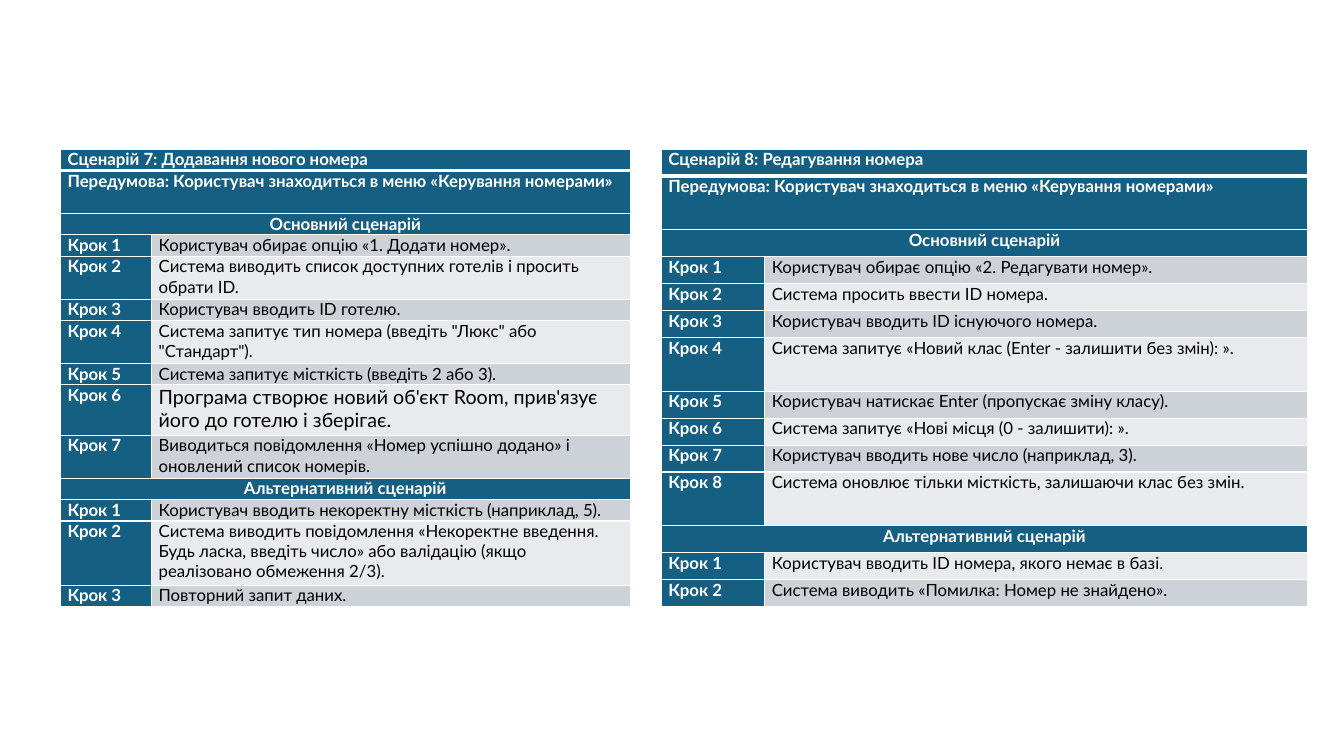
from lxml import etree
from pptx import Presentation
from pptx.dml.color import RGBColor
from pptx.enum.text import PP_ALIGN
from pptx.oxml.ns import qn
from pptx.util import Inches, Pt

LEFT, CENTER = PP_ALIGN.LEFT, PP_ALIGN.CENTER
TEAL = RGBColor(0x15, 0x60, 0x82)
DARK_BAND = RGBColor(0xCC, 0xD2, 0xD8)
LIGHT_BAND = RGBColor(0xE8, 0xEA, 0xED)
WHITE = RGBColor(0xFF, 0xFF, 0xFF)
BLACK = RGBColor(0, 0, 0)

TABLE_TOP, TABLE_HEIGHT = 1.48, 4.54
LABEL_SHARE = 0.16
MARGINS = {"margin_left": Inches(0.07), "margin_right": Inches(0.07),
           "margin_top": 0, "margin_bottom": 0}
HEADING = {"name": "Lato", "size": Pt(12), "bold": True}
BODY = {"name": "Lato", "size": Pt(12), "bold": False}
LARGE_BODY = {**BODY, "size": Pt(14)}

PRECONDITION = "Передумова: Користувач знаходиться в меню «Керування номерами»"
MAIN, ALTERNATIVE = "Основний сценарій", "Альтернативний сценарій"

# Each step is its text and its height in line units.
ADD_ROOM_STEPS = [
    ("Користувач обирає опцію «1. Додати номер».", 1),
    ("Система виводить список доступних готелів і просить обрати ID.", 2),
    ("Користувач вводить ID готелю.", 1),
    ('Система запитує тип номера (введіть "Люкс" або "Стандарт").', 2),
    ("Система запитує місткість (введіть 2 або 3).", 1),
    ("Програма створює новий об'єкт Room, прив'язує його до готелю і зберігає.",
     2.35, LARGE_BODY),
    ("Виводиться повідомлення «Номер успішно додано» і оновлений список номерів.", 2),
]
ADD_ROOM_ERRORS = [
    ("Користувач вводить некоректну місткість (наприклад, 5).", 1),
    ("Система виводить повідомлення «Некоректне введення. Будь ласка, введіть "
     "число» або валідацію (якщо реалізовано обмеження 2/3).", 3),
    ("Повторний запит даних.", 1),
]
EDIT_ROOM_STEPS = [
    ("Користувач обирає опцію «2. Редагувати номер».", 1),
    ("Система просить ввести ID номера.", 1),
    ("Користувач вводить ID існуючого номера.", 1),
    ("Система запитує «Новий клас (Enter - залишити без змін): ».", 2),
    ("Користувач натискає Enter (пропускає зміну класу).", 1),
    ("Система запитує «Нові місця (0 - залишити): ».", 1),
    ("Користувач вводить нове число (наприклад, 3).", 1),
    ("Система оновлює тільки місткість, залишаючи клас без змін.", 2),
]
EDIT_ROOM_ERRORS = [
    ("Користувач вводить ID номера, якого немає в базі.", 1),
    ("Система виводить «Помилка: Номер не знайдено».", 1),
]


def set_borders(cell, top=1, bottom=1):
    properties = cell._tc.get_or_add_tcPr()
    for side, width in (("L", 1), ("R", 1), ("T", top), ("B", bottom)):
        line = etree.SubElement(properties, qn(f"a:ln{side}"), w=str(Pt(width)))
        fill = etree.SubElement(line, qn("a:solidFill"))
        etree.SubElement(fill, qn("a:srgbClr"), val=str(WHITE))


def write_cell(cell, text, font, color, align=LEFT):
    para = cell.text_frame.paragraphs[0]
    para.alignment = align
    span = para.add_run()
    span.text = text
    for name, value in font.items():
        setattr(span.font, name, value)
    span.font.color.rgb = color


def style_row(cells, row):
    """Give a row its margins, borders and fills; a thick rule follows row 0."""
    band = DARK_BAND if row % 2 else LIGHT_BAND
    for cell, fill in zip(cells, (TEAL, band)):
        for name, value in MARGINS.items():
            setattr(cell, name, value)
        set_borders(cell, top=3 if row == 1 else 1, bottom=3 if row == 0 else 1)
        cell.fill.solid()
        cell.fill.fore_color.rgb = fill


def add_heading(cells, text, align):
    cells[0].merge(cells[1])
    cells[0].fill.fore_color.rgb = cells[1].fill.fore_color.rgb = TEAL
    write_cell(cells[0], text, HEADING, WHITE, align)


def add_step(cells, number, text, font=BODY):
    write_cell(cells[0], f"Крок {number}", HEADING, WHITE)
    write_cell(cells[1], text, font, BLACK)


def scenario_rows(title, steps, errors):
    """List rows as (height in units, writer, arguments)."""
    rows = [(1, add_heading, (title, LEFT)),
            (2, add_heading, (PRECONDITION, LEFT))]
    for heading, group in ((MAIN, steps), (ALTERNATIVE, errors)):
        rows.append((1, add_heading, (heading, CENTER)))
        for number, (text, units, *font) in enumerate(group, 1):
            rows.append((units, add_step, (number, text, *font)))
    return rows


def add_scenario(page, left, width, title, steps, errors):
    rows = scenario_rows(title, steps, errors)
    unit = TABLE_HEIGHT / sum(units for units, _, _ in rows)
    table = page.shapes.add_table(
        len(rows), 2, Inches(left), Inches(TABLE_TOP),
        Inches(width), Inches(TABLE_HEIGHT)).table
    for column, share in zip(table.columns, (LABEL_SHARE, 1 - LABEL_SHARE)):
        column.width = Inches(width * share)
    for index, (units, write, arguments) in enumerate(rows):
        table.rows[index].height = Inches(unit * units)
        cells = [table.cell(index, column) for column in range(2)]
        style_row(cells, index)
        write(cells, *arguments)


def main():
    deck = Presentation()
    deck.slide_width, deck.slide_height = Inches(13.33), Inches(7.5)
    page = deck.slides.add_slide(deck.slide_layouts.get_by_name("Blank"))
    add_scenario(page, 0.6, 5.65, "Сценарій 7: Додавання нового номера",
                 ADD_ROOM_STEPS, ADD_ROOM_ERRORS)
    add_scenario(page, 6.56, 6.41, "Сценарій 8: Редагування номера",
                 EDIT_ROOM_STEPS, EDIT_ROOM_ERRORS)
    deck.save("out.pptx")


if __name__ == "__main__":
    main()
